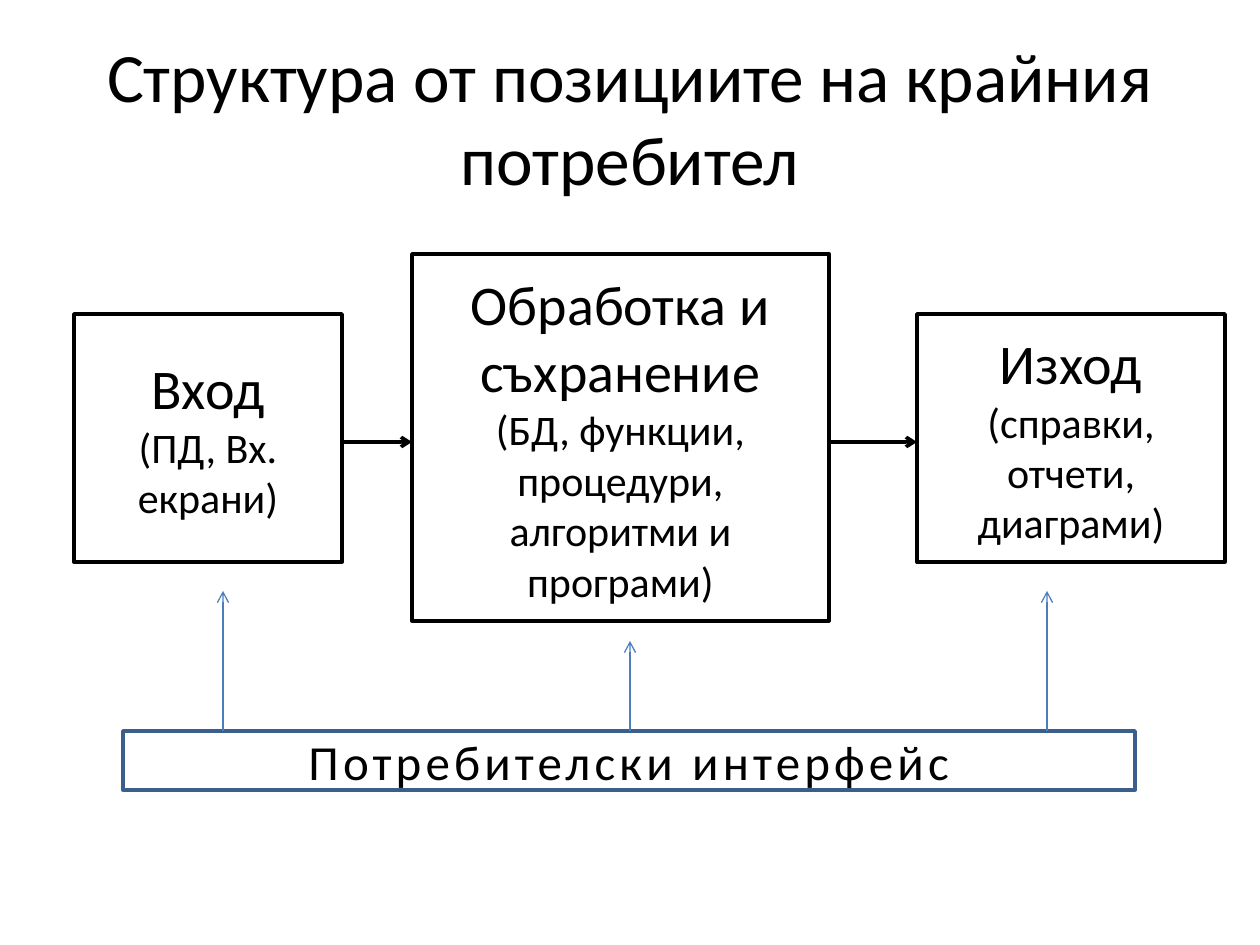
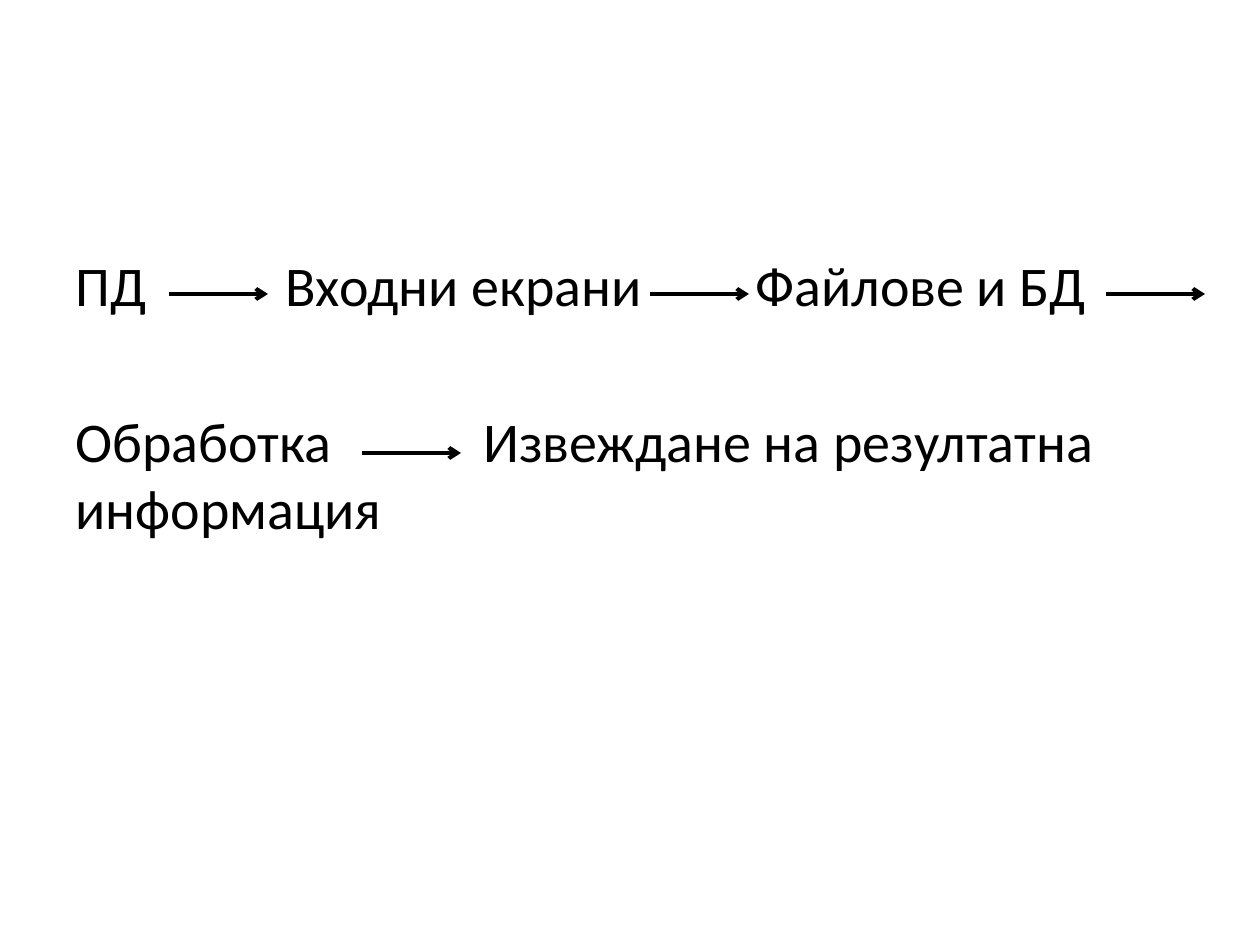
from pptx import Presentation
from pptx.dml.color import RGBColor
from pptx.enum.shapes import MSO_CONNECTOR as Connector, MSO_SHAPE as Preset
from pptx.enum.text import MSO_ANCHOR as Anchor, PP_ALIGN as Align
from pptx.oxml.ns import qn
from pptx.util import Emu, Pt
from lxml.etree import SubElement

BLACK = RGBColor(0x00, 0x00, 0x00)
WHITE = RGBColor(0xFF, 0xFF, 0xFF)
FRAME_BLUE = RGBColor(0x3A, 0x5F, 0x8C)
ARROW_BLUE = RGBColor(0x4B, 0x7E, 0xBC)
FONT = "Calibri"
EMU_PER_PIXEL = 914400 / 126
HEADING, DETAIL = 32, 24


def px(length):
    return Emu(round(length * EMU_PER_PIXEL))


def write(paragraph, text, size=HEADING, color=BLACK, align=Align.LEFT,
          before=0, tracking=0, tabs=()):
    paragraph.alignment = align
    paragraph.space_before = Pt(before)
    run = paragraph.add_run()
    run.text = text
    run.font.name = FONT
    run.font.size = Pt(size)
    run.font.color.rgb = color
    if tracking:
        run._r.get_or_add_rPr().set("spc", str(round(tracking * 100)))
    if tabs:
        tab_list = SubElement(paragraph._p.get_or_add_pPr(), qn("a:tabLst"))
        for position in tabs:
            SubElement(tab_list, qn("a:tab"), pos=str(px(position)), algn="l")


class Deck:
    def __init__(self):
        self.presentation = Presentation()
        self.presentation.slide_width = px(1260)
        self.presentation.slide_height = px(945)
        self.slide = None

    def add_slide(self):
        self.slide = self.presentation.slides.add_slide(self.presentation.slide_layouts[6])

    def fill_text(self, shape, lines, anchor, **shared):
        frame = shape.text_frame
        frame.word_wrap = True
        frame.vertical_anchor = anchor
        for index, (text, style) in enumerate(lines):
            paragraph = frame.add_paragraph() if index else frame.paragraphs[0]
            write(paragraph, text, **shared, **style)

    def text(self, left, top, width, height, lines, anchor=Anchor.TOP, **shared):
        shape = self.slide.shapes.add_textbox(px(left), px(top), px(width), px(height))
        self.fill_text(shape, lines, anchor, **shared)

    def title(self, text):
        self.text(63, 38, 1134, 157, [(text, {"size": 39.6})], Anchor.MIDDLE, align=Align.CENTER)

    def box(self, left, top, width, height, lines, border=BLACK):
        shape = self.slide.shapes.add_shape(
            Preset.RECTANGLE, px(left), px(top), px(width), px(height))
        shape.shadow.inherit = False
        shape.fill.solid()
        shape.fill.fore_color.rgb = WHITE
        shape.line.color.rgb = border
        shape.line.width = Pt(2)
        self.fill_text(shape, lines, Anchor.MIDDLE, align=Align.CENTER)

    def arrow(self, start_x, start_y, end_x, end_y, color=BLACK, weight=2.0):
        connector = self.slide.shapes.add_connector(
            Connector.STRAIGHT, px(start_x), px(start_y), px(end_x), px(end_y))
        connector.line.color.rgb = color
        connector.line.width = Pt(weight)
        SubElement(connector.line._get_or_add_ln(), qn("a:tailEnd"), type="arrow")
        SubElement(connector._element.spPr, qn("a:effectLst"))


def build_structure(deck):
    deck.add_slide()
    deck.title("Структура от позициите на крайния потребител")
    stages = [
        (74, 314, 268, 248, "Вход", ["(ПД, Вх. екрани)"]),
        (412, 254, 417, 367, "Обработка и съхранение",
         ["(БД, функции, процедури,", "алгоритми и програми)"]),
        (917, 314, 308, 248, "Изход", ["(справки, отчети, диаграми)"]),
    ]
    for left, top, width, height, heading, details in stages:
        lines = [(heading, {"size": HEADING})]
        lines += [(detail, {"size": DETAIL}) for detail in details]
        deck.box(left, top, width, height, lines)
    interface_top = 731
    deck.box(123, interface_top, 1012, 59,
             [("Потребителски интерфейс", {"size": 28, "tracking": 2.4})], FRAME_BLUE)
    for stage, following in zip(stages, stages[1:]):
        deck.arrow(stage[0] + stage[2], 442, following[0], 442)
    for x, tip in [(223, 591), (630, 641), (1047, 591)]:
        deck.arrow(x, interface_top, x, tip, ARROW_BLUE, 0.75)


def build_data_flow(deck):
    deck.add_slide()
    deck.text(63, 244, 1134, 310, [
        ("ПД\tВходни екрани\tФайлове и БД", {"tabs": (210, 680)}),
        ("Обработка\tИзвеждане на резултатна информация", {"tabs": (408,), "before": 51}),
    ])
    for x, y in [(169, 294), (650, 294), (1106, 294), (362, 453)]:
        deck.arrow(x, y, x + 99, y, weight=2.25)


deck = Deck()
build_structure(deck)
build_data_flow(deck)
deck.presentation.save("out.pptx")
